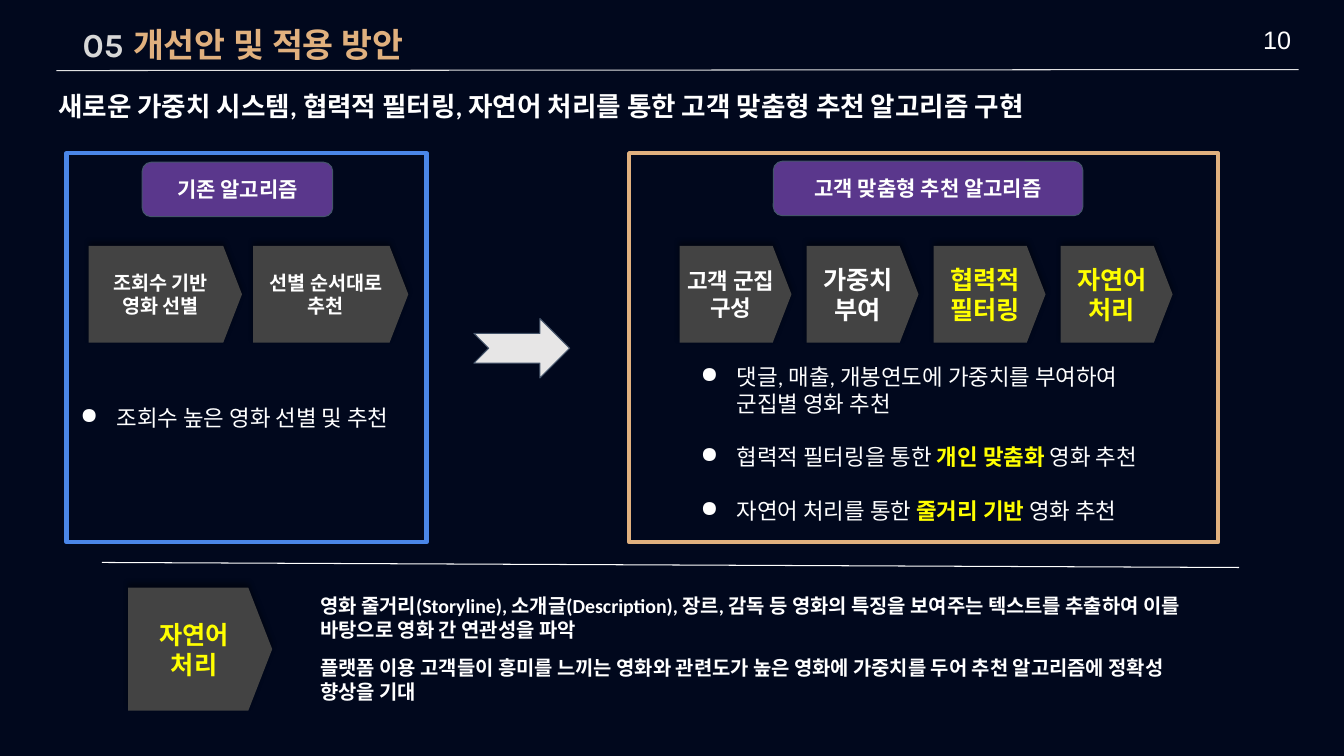
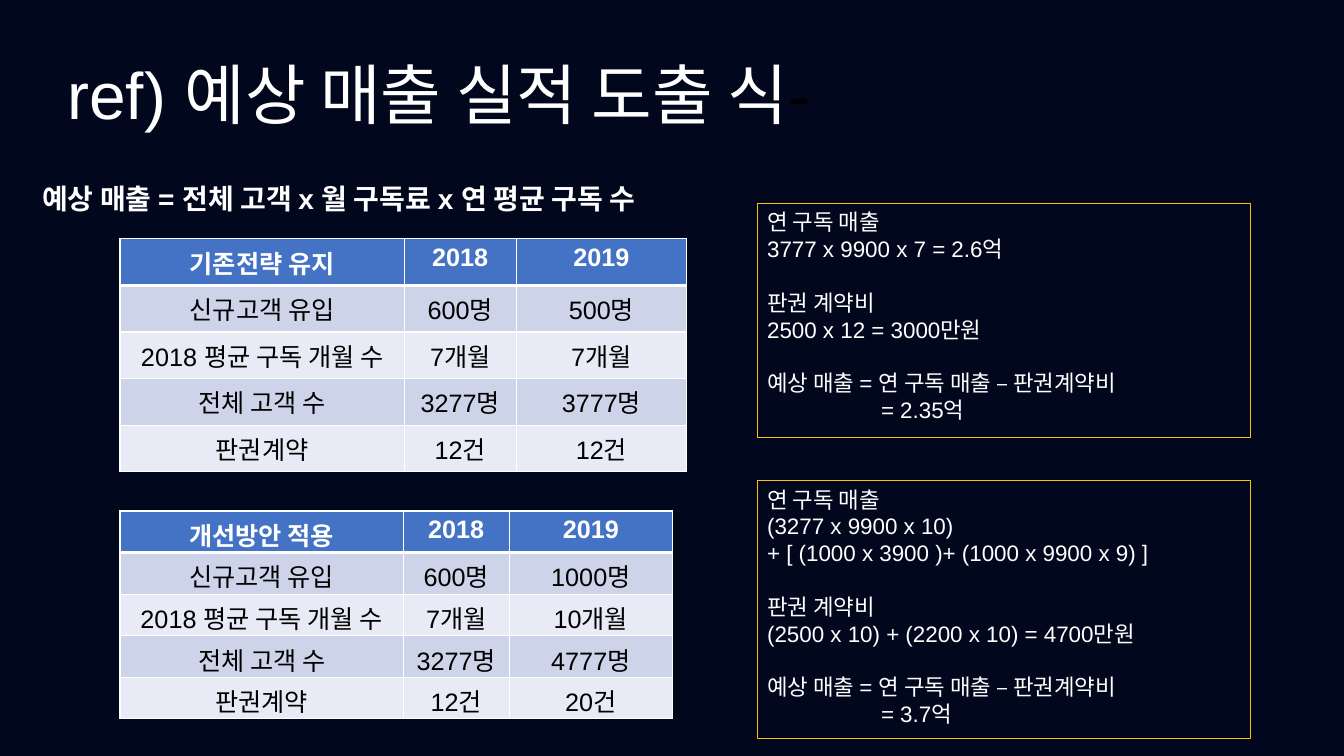
from dataclasses import dataclass, replace

from lxml import etree
from pptx import Presentation
from pptx import util as u
from pptx.dml.color import RGBColor
from pptx.enum import shapes, text
from pptx.oxml import ns

NAVY = RGBColor(0x01, 0x08, 0x1D)
WHITE = RGBColor(0xFF, 0xFF, 0xFF)
BLACK = RGBColor(0x00, 0x00, 0x00)
PALE_GRAY = RGBColor(0xD8, 0xD8, 0xD8)
RULE_GRAY = RGBColor(0xE1, 0xE1, 0xE2)
ARROW_GRAY = RGBColor(0xE7, 0xE6, 0xE6)
PLATE_GRAY = RGBColor(0x43, 0x43, 0x43)
SLATE = RGBColor(0x44, 0x54, 0x6A)
SAND = RGBColor(0xE0, 0xB0, 0x7E)
BLUE = RGBColor(0x4A, 0x86, 0xE8)
PURPLE = RGBColor(0x5A, 0x37, 0x8C)
YELLOW = RGBColor(0xFF, 0xFF, 0x00)
GOLD = RGBColor(0xFF, 0xC0, 0x00)
HEADER_BLUE = RGBColor(0x44, 0x72, 0xC4)
BANDS = (RGBColor(0xCD, 0xD4, 0xEA), RGBColor(0xE8, 0xEB, 0xF5))

LINE_HEIGHT = 1.2
CENTER, LEFT = text.PP_ALIGN.CENTER, text.PP_ALIGN.LEFT
TOP, MIDDLE = text.MSO_ANCHOR.TOP, text.MSO_ANCHOR.MIDDLE
SHAPE = shapes.MSO_SHAPE


@dataclass(frozen=True)
class Style:
    size: float
    font: str = "Arial"
    color: RGBColor = WHITE
    bold: bool = False


@dataclass(frozen=True)
class Span:
    words: str
    style: Style


@dataclass(frozen=True)
class Para:
    spans: tuple[Span, ...]
    align: text.PP_ALIGN = LEFT
    before: float = 0
    indent: float = 0
    bullet: bool = False
    tab: float = 0


@dataclass(frozen=True)
class Area:
    left: float
    top: float
    width: float
    height: float

    def lengths(self) -> list[u.Length]:
        return [u.Inches(v) for v in (self.left, self.top, self.width, self.height)]


@dataclass(frozen=True)
class Plate:
    area: Area
    lines: tuple[str, ...]
    style: Style


@dataclass(frozen=True)
class RevenueTable:
    area: Area
    columns: tuple[float, ...]
    bottom_margin: float
    rows: tuple[tuple[str, ...], ...]


def plain(words: str, style: Style, **layout) -> Para:
    return Para((Span(words, style),), **layout)


def add_element(parent, tag: str, **attributes: str):
    return etree.SubElement(parent, ns.qn(tag), attributes)


def add_spans(para, spans: tuple[Span, ...]) -> None:
    for item in spans:
        span = para.add_run()
        span.text = item.words
        span.font.name = item.style.font
        span.font.size = u.Pt(item.style.size)
        span.font.bold = item.style.bold
        span.font.color.rgb = item.style.color


def write(box, paras: list[Para], inset: float = 0.1, side: float = 0.1,
          anchor: text.MSO_ANCHOR = TOP) -> None:
    frame = box.text_frame
    frame.word_wrap = True
    frame.auto_size = text.MSO_AUTO_SIZE.NONE
    frame.vertical_anchor = anchor
    frame.margin_top = frame.margin_bottom = u.Inches(inset)
    frame.margin_left = frame.margin_right = u.Inches(side)
    for index, item in enumerate(paras):
        para = frame.add_paragraph() if index else frame.paragraphs[0]
        props = para._p.get_or_add_pPr()
        props.set("marL", str(u.Inches(item.indent)))
        props.set("indent", str(u.Inches(-0.36 if item.bullet else 0)))
        if item.bullet:
            color = add_element(props, "a:buClr")
            add_element(color, "a:srgbClr", val=str(WHITE))
            add_element(props, "a:buChar", char="●")
        if item.tab:
            tabs = add_element(props, "a:tabLst")
            add_element(tabs, "a:tab", pos=str(u.Inches(item.tab)), algn="l")
        para.alignment = item.align
        para.line_spacing = u.Pt(LINE_HEIGHT * item.spans[0].style.size)
        para.space_before = u.Pt(item.before)
        add_spans(para, item.spans)


def add_text(page, area: Area, paras: list[Para], inset: float = 0.1) -> None:
    write(page.shapes.add_textbox(*area.lengths()), paras, inset)


def set_title(page, area: Area, para: Para, inset: float, anchor: text.MSO_ANCHOR) -> None:
    title = page.shapes.title
    title.left, title.top, title.width, title.height = area.lengths()
    write(title, [para], inset, anchor=anchor)


def add_shape(page, kind: shapes.MSO_SHAPE, area: Area, fill: RGBColor | None = None,
              line: RGBColor | None = None, weight: float = 0.75):
    shape = page.shapes.add_shape(kind, *area.lengths())
    shape.shadow.inherit = False
    if fill is None:
        shape.fill.background()
    else:
        shape.fill.solid()
        shape.fill.fore_color.rgb = fill
    if line is None:
        shape.line.fill.background()
    else:
        shape.line.color.rgb = line
        shape.line.width = u.Pt(weight)
    return shape


def add_rule(page, start: tuple[float, float], end: tuple[float, float], color: RGBColor) -> None:
    ends = [u.Inches(v) for v in (*start, *end)]
    rule = page.shapes.add_connector(shapes.MSO_CONNECTOR.STRAIGHT, *ends)
    rule.line.color.rgb = color
    rule.line.width = u.Pt(0.75)
    add_element(rule._element.spPr, "a:effectLst")


def add_plate(page, plate: Plate) -> None:
    shape = add_shape(page, SHAPE.PENTAGON, plate.area, PLATE_GRAY)
    shape.adjustments[0] = 0.194
    effects = shape._element.spPr.find(ns.qn("a:effectLst"))
    shadow = add_element(effects, "a:outerShdw", blurRad=str(u.Pt(4)), dist=str(u.Pt(3)),
                         dir="16200000", rotWithShape="0")
    color = add_element(shadow, "a:srgbClr", val=str(BLACK))
    add_element(color, "a:alpha", val="40000")
    write(shape, [plain(line, plate.style, align=CENTER) for line in plate.lines],
          0, 0, MIDDLE)


def add_badge(page, area: Area, words: str) -> None:
    badge = add_shape(page, SHAPE.ROUNDED_RECTANGLE, area, PURPLE, SLATE)
    write(badge, [plain(words, Style(15, bold=True), align=CENTER)], anchor=MIDDLE)


def add_revenue_table(page, spec_table: RevenueTable) -> None:
    rows, columns = spec_table.rows, spec_table.columns
    table = page.shapes.add_table(len(rows), len(columns), *spec_table.area.lengths()).table
    for column, width in zip(table.columns, columns):
        column.width = u.Inches(width)
    for r, row in enumerate(rows):
        table.rows[r].height = u.Inches(spec_table.area.height / len(rows))
        for c, words in enumerate(row):
            cell = table.cell(r, c)
            cell.margin_bottom = u.Inches(spec_table.bottom_margin)
            props = cell._tc.get_or_add_tcPr()
            for side in "LRTB":
                heavy = (r == 0 and side == "B") or (r == 1 and side == "T")
                border = add_element(props, f"a:ln{side}", w=str(u.Pt(3 if heavy else 1)))
                add_element(add_element(border, "a:solidFill"), "a:srgbClr", val=str(WHITE))
            cell.fill.solid()
            cell.fill.fore_color.rgb = BANDS[(r - 1) % 2] if r else HEADER_BLUE
            para = cell.text_frame.paragraphs[0]
            para.alignment = CENTER
            style = Style(18, color=BLACK) if r else Style(18, bold=True)
            add_spans(para, (Span(words, style),))


def build_plan(page) -> None:
    # Header
    number = Style(24, "Karla", PALE_GRAY, True)
    heading = Para((Span("05", number),
                    Span("\t개선안 및 적용 방안", replace(number, color=SAND))), tab=0.73)
    set_title(page, Area(0.72, 0.19, 5.43, 0.5), heading, 0.05, TOP)
    add_rule(page, (0.56, 0.7), (12.88, 0.69), RULE_GRAY)
    add_text(page, Area(12.43, 0.19, 0.6, 0.4), [plain("10", Style(18))], 0.05)
    add_text(page, Area(0.48, 0.79, 11.03, 0.54), [plain(
        "새로운 가중치 시스템, 협력적 필터링, 자연어 처리를 통한 고객 맞춤형 추천 알고리즘 구현",
        Style(19, "Calibri", bold=True))])

    # Panels with their badges
    add_shape(page, SHAPE.RECTANGLE, Area(0.66, 1.52, 3.57, 3.86), line=BLUE, weight=3)
    add_shape(page, SHAPE.RECTANGLE, Area(6.24, 1.52, 5.84, 3.86), line=SAND, weight=3)
    add_badge(page, Area(1.41, 1.61, 1.89, 0.54), "기존 알고리즘")
    add_badge(page, Area(7.67, 1.6, 3.07, 0.54), "고객 맞춤형 추천 알고리즘")
    add_shape(page, SHAPE.NOTCHED_RIGHT_ARROW, Area(4.7, 3.16, 0.95, 0.59), ARROW_GRAY, SLATE)

    # Process steps
    small, large = Style(14, bold=True), Style(18, bold=True)
    accent = replace(large, color=YELLOW)
    plates = [
        Plate(Area(0.88, 2.44, 1.52, 0.96), ("조회수 기반", "영화 선별"), small),
        Plate(Area(2.51, 2.44, 1.54, 0.96), ("선별 순서대로", "추천"), small),
        Plate(Area(1.27, 5.83, 1.43, 1.22), ("자연어", "처리"), accent),
    ]
    new_steps = [
        (("고객 군집", "구성"), Style(16, "Calibri", bold=True)),
        (("가중치", "부여"), large),
        (("협력적", "필터링"), accent),
        (("자연어", "처리"), accent),
    ]
    plates += [Plate(Area(6.74 + 1.26 * i, 2.44, 1.11, 0.96), lines, style)
               for i, (lines, style) in enumerate(new_steps)]
    for plate in plates:
        add_plate(page, plate)

    # Bullets
    body = Style(16, "Calibri")
    strong = replace(body, color=YELLOW, bold=True)
    points = [
        (Span("댓글, 매출, 개봉연도에 가중치를 부여하여 군집별 영화 추천", body),),
        (Span("협력적 필터링을 통한 ", body), Span("개인 맞춤화 ", strong), Span("영화 추천", body)),
        (Span("자연어 처리를 통한 ", body), Span("줄거리 기반 ", strong), Span("영화 추천", body)),
    ]
    add_text(page, Area(6.71, 3.5, 5.06, 1.63),
             [Para(spans, before=19 if i else 0, indent=0.5, bullet=True)
              for i, spans in enumerate(points)])
    add_text(page, Area(0.56, 3.91, 3.66, 0.49),
             [plain("조회수 높은 영화 선별 및 추천", body, indent=0.5, bullet=True)])

    # Explanation below the rule
    add_rule(page, (1.01, 5.58), (12.29, 5.63), WHITE)
    note = Style(14.2, "Calibri", bold=True)
    add_text(page, Area(3.08, 5.79, 9.05, 1.31), [
        plain("영화 줄거리(Storyline), 소개글(Description), 장르, 감독 등 영화의 특징을 보여주는 "
              "텍스트를 추출하여 이를 바탕으로 영화 간 연관성을 파악", note),
        plain("플랫폼 이용 고객들이 흥미를 느끼는 영화와 관련도가 높은 영화에 가중치를 두어 "
              "추천 알고리즘에 정확성 향상을 기대", note, before=10),
    ])


def build_revenue(page) -> None:
    # Title and formula
    title = Style(47)
    set_title(page, Area(-0.63, 0.17, 9.97, 1.5), Para(
        (Span("ref) 예상 매출 실적 도출 식", title), Span("-", replace(title, color=BLACK))),
        align=CENTER), 0.1, MIDDLE)
    add_text(page, Area(0.32, 1.75, 7.01, 0.44), [plain(
        "예상 매출 = 전체 고객 x 월 구독료 x 연 평균 구독 수", Style(20, bold=True))], 0.05)

    # Tables
    labels = ("신규고객 유입", "2018 평균 구독 개월 수", "전체 고객 수", "판권계약")
    before = ("600명", "7개월", "3277명", "12건")
    keep = ("500명", "7개월", "3777명", "12건")
    improve = ("1000명", "10개월", "4777명", "20건")
    for table in (
        RevenueTable(Area(1.19, 2.37, 5.62, 2.3), (2.82, 1.11, 1.69), 0.05,
                     (("기존전략 유지", "2018", "2019"), *zip(labels, before, keep))),
        RevenueTable(Area(1.19, 5.07, 5.48, 2.03), (2.81, 1.05, 1.62), 0,
                     (("개선방안 적용", "2018", "2019"), *zip(labels, before, improve))),
    ):
        add_revenue_table(page, table)

    # Calculations: subscription sales, licence cost, expected result
    body = Style(16)
    for area, sales, cost, result in (
        (Area(7.51, 2.02, 4.89, 2.32), ("3777 x 9900 x 7 = 2.6억",),
         "2500 x 12 = 3000만원", "= 2.35억"),
        (Area(7.51, 4.77, 4.89, 2.56),
         ("(3277 x 9900 x 10)", "+ [ (1000 x 3900 )+ (1000 x 9900 x 9) ]"),
         "(2500 x 10) + (2200 x 10) = 4700만원", "= 3.7억"),
    ):
        box = add_shape(page, SHAPE.RECTANGLE, area, line=GOLD)
        write(box, [
            plain("연 구독 매출", body),
            *(plain(line, body) for line in sales),
            plain("판권 계약비", body, before=19),
            plain(cost, body),
            plain("예상 매출 = 연 구독 매출 – 판권계약비", body, before=19),
            plain(result, body, indent=1.13),
        ], 0.05)


def main() -> None:
    deck = Presentation()
    deck.slide_width, deck.slide_height = u.Inches(13.33), u.Inches(7.5)
    background = deck.slide_master.background.fill
    background.solid()
    background.fore_color.rgb = NAVY
    title_only = deck.slide_layouts[5]
    for build in (build_plan, build_revenue):
        build(deck.slides.add_slide(title_only))
    deck.save("out.pptx")


if __name__ == "__main__":
    main()
